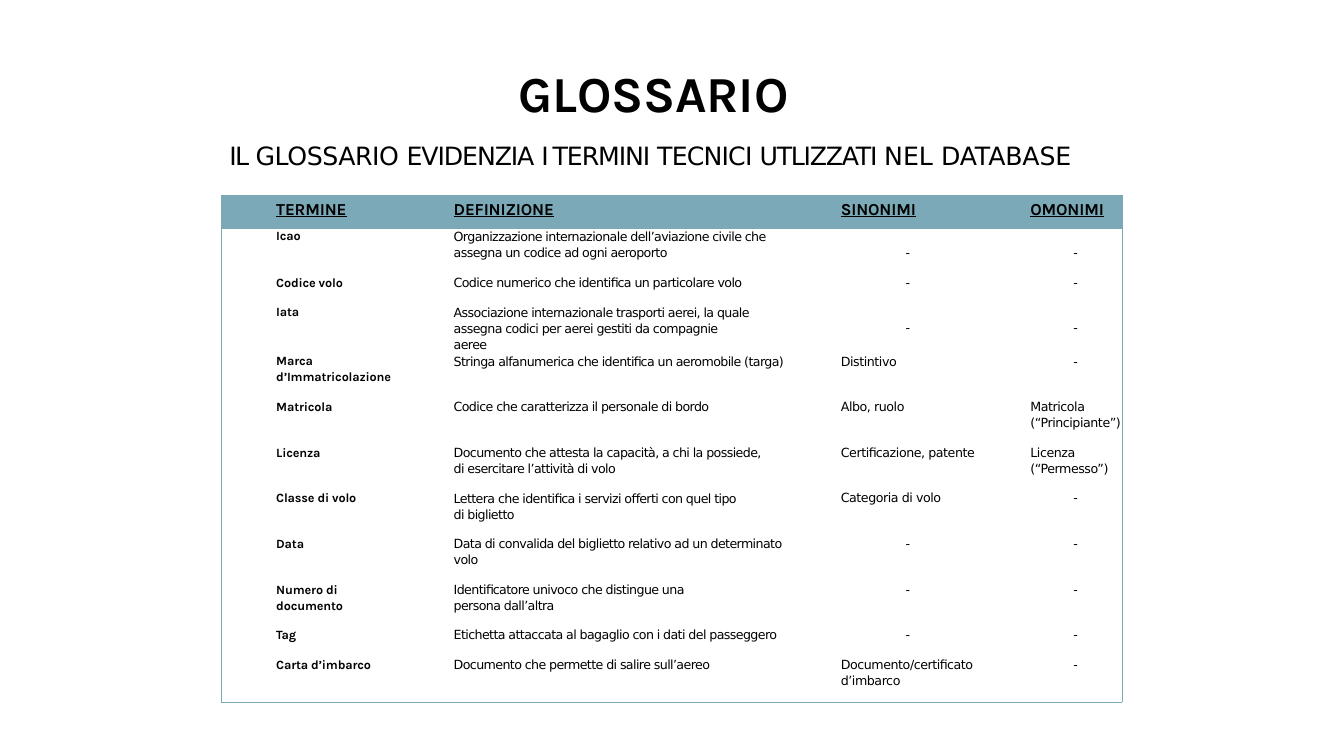
import pptx
import pptx.util
import pptx.dml.color
import pptx.enum.text
import pptx.oxml.ns
import lxml.etree

COLORS = {"black": "000000", "teal": "7BA9B8"}
HEADING_FONT, BODY_FONT = "Karla", "DejaVu Sans"
SLIDE_W, SLIDE_H = 13.33, 7.5

# Table grid: column widths in inches, row heights in points
COLUMNS = (2, 3.86, 1.88, 1.19)
INDENTS = (0.54, 0.3, 0.28, 0.28)
DASH_INDENTS = (0, 0, 0.01, 0.27)
HEADER, SINGLE, DOUBLE, UPPER = 24, 21, 32.6, 11.5

# Subtitle words with their letter spacing in points
SUBTITLE = (("IL ", -1.2), ("GLOSSARIO ", -0.3), ("EVIDENZIA ", -0.8), ("I ", -3),
            ("TERMINI ", -0.8), ("TECNICI ", -0.6), ("UTLIZZATI ", -0.9),
            ("NEL ", 0), ("DATABASE", -0.1))

# Row height and cells; \n starts a paragraph, \v breaks a line within one
GLOSSARY = (
    (HEADER, "TERMINE", "DEFINIZIONE", "SINONIMI", "OMONIMI"),
    (UPPER, "Icao", "Organizzazione internazionale dell’aviazione civile che\n"
     "assegna un codice ad ogni aeroporto", "", ""),
    (SINGLE, "", "", "-", "-"),
    (SINGLE, "Codice volo", "Codice numerico che identifica un particolare volo", "-", "-"),
    (UPPER, "Iata", "Associazione internazionale trasporti aerei, la quale \v"
     "assegna codici per aerei gestiti da compagnie \vaeree", "", ""),
    (23.5, "", "", "-", "-"),
    (DOUBLE, "Marca\nd’Immatricolazione",
     "Stringa alfanumerica che identifica un aeromobile (targa)", "Distintivo", "-"),
    (DOUBLE, "Matricola", "Codice che caratterizza il personale di bordo",
     "Albo, ruolo", "Matricola\n(“Principiante”)"),
    (DOUBLE, "Licenza", "Documento che attesta la capacità, a chi la possiede, \v"
     "di esercitare l’attività di volo", "Certificazione, patente", "Licenza\n(“Permesso”)"),
    (DOUBLE, "Classe di volo", "Lettera che identifica i servizi offerti con quel tipo \v"
     "di biglietto", "Categoria di volo", "-"),
    (DOUBLE, "Data", "Data di convalida del biglietto relativo ad un determinato\nvolo",
     "-", "-"),
    (DOUBLE, "Numero di \vdocumento", "Identificatore univoco che distingue una \v"
     "persona dall’altra", "-", "-"),
    (SINGLE, "Tag", "Etichetta attaccata al bagaglio con i dati del passeggero", "-", "-"),
    (DOUBLE, "Carta d’imbarco", "Documento che permette di salire sull’aereo",
     "Documento/certificato \vd’imbarco", "-"),
)
MERGED_ROWS = (1, 4)  # upper rows whose definition spans two rows
DEFINITION = 1


def write_text(paragraph, text, font=BODY_FONT, size=9, bold=False, underline=False,
               spacing=0.0, indent=0.0, centered=False):
    """Add text to a paragraph and format it."""
    align = pptx.enum.text.PP_ALIGN
    paragraph.alignment = align.CENTER if centered else align.LEFT
    properties = paragraph._p.get_or_add_pPr()
    properties.set("marL", str(pptx.util.Inches(indent)))
    properties.set("indent", "0")
    for number, line in enumerate(text.split("\v")):
        if number:
            paragraph.add_line_break()
            paragraph.line_spacing = pptx.util.Pt(11.6)
        run = paragraph.add_run()
        run.text = line
        run.font.name = font
        run.font.size = pptx.util.Pt(size)
        run.font.bold = bold
        run.font.underline = underline
        run.font.color.rgb = pptx.dml.color.RGBColor.from_string(COLORS["black"])
        run._r.get_or_add_rPr().set("spc", str(round(spacing * 100)))


def add_text_line(slide, left, top, width, height, words, **style):
    """Add a one-line box; the place is given in shares of the slide."""
    box = slide.shapes.add_textbox(
        pptx.util.Inches(left * SLIDE_W), pptx.util.Inches(top * SLIDE_H),
        pptx.util.Inches(width * SLIDE_W), pptx.util.Inches(height * SLIDE_H))
    frame = box.text_frame
    frame.word_wrap = True
    frame.margin_left = frame.margin_right = frame.margin_bottom = 0
    frame.margin_top = pptx.util.Inches(0.01)
    for word, spacing in words:
        write_text(frame.paragraphs[0], word, spacing=spacing, **style)


def set_borders(cell, sides):
    """Draw thin lines on the named sides (L, R, T, B) and clear the others."""
    properties = cell._tc.get_or_add_tcPr()
    qn = pptx.oxml.ns.qn
    for side in "LRTB":
        line = lxml.etree.SubElement(properties, qn("a:ln" + side), w="6350")
        if side in sides:
            fill = lxml.etree.SubElement(line, qn("a:solidFill"))
            lxml.etree.SubElement(fill, qn("a:srgbClr"), val=COLORS["teal"])
        else:
            lxml.etree.SubElement(line, qn("a:noFill"))


def fill_cell(cell, text, row, column):
    is_header = row == 0
    is_heading = is_header or column == 0
    is_dash = text == "-"

    # Outer frame and a rule under each entry
    open_below = row == 1 and column != DEFINITION
    sides = ("L" if column == 0 else "") + ("R" if column == len(COLUMNS) - 1 else "")
    set_borders(cell, sides + ("T" if is_header else "") + ("" if open_below else "B"))
    if is_header:
        cell.fill.solid()
        cell.fill.fore_color.rgb = pptx.dml.color.RGBColor.from_string(COLORS["teal"])
    else:
        cell.fill.background()

    cell.margin_left = cell.margin_right = cell.margin_bottom = 0
    snug = "\v" in text or row in (1, 2, 5)
    cell.margin_top = pptx.util.Inches(0.04 if is_header else 0 if snug else 0.01)

    frame = cell.text_frame
    if not text:  # keep blank cells from stretching their row
        lxml.etree.SubElement(frame.paragraphs[0]._p,
                              pptx.oxml.ns.qn("a:endParaRPr"), sz="900")
        return
    for number, line in enumerate(text.split("\n")):
        paragraph = frame.add_paragraph() if number else frame.paragraphs[0]
        if number:
            paragraph.space_before = pptx.util.Pt(0.8)
        write_text(paragraph, line, font=HEADING_FONT if is_heading else BODY_FONT,
                   size=12 if is_header else 9, bold=is_heading, underline=is_header,
                   spacing=-0.1 if is_heading else -0.42 if column == DEFINITION else -0.3,
                   indent=(DASH_INDENTS if is_dash else INDENTS)[column], centered=is_dash)


def add_glossary(slide, left, top):
    heights = [pptx.util.Pt(entry[0]) for entry in GLOSSARY]
    widths = [pptx.util.Inches(width) for width in COLUMNS]
    glossary = slide.shapes.add_table(
        len(heights), len(widths), pptx.util.Inches(left * SLIDE_W),
        pptx.util.Inches(top * SLIDE_H), sum(widths), sum(heights)).table
    for column, width in enumerate(widths):
        glossary.columns[column].width = width
    for row, (height, *texts) in enumerate(GLOSSARY):
        glossary.rows[row].height = heights[row]
        for column, text in enumerate(texts):
            fill_cell(glossary.cell(row, column), text, row, column)
    for row in MERGED_ROWS:
        glossary.cell(row, DEFINITION).merge(glossary.cell(row + 1, DEFINITION))


def main():
    deck = pptx.Presentation()
    deck.slide_width = pptx.util.Inches(SLIDE_W)
    deck.slide_height = pptx.util.Inches(SLIDE_H)
    slide = deck.slides.add_slide(deck.slide_layouts[6])

    # Title and subtitle
    add_text_line(slide, 0.385, 0.081, 0.232, 0.084, [("GLOSSARIO", -0.1)],
                  font=HEADING_FONT, size=36, bold=True, indent=0.01)
    add_text_line(slide, 0.17, 0.184, 0.661, 0.044, SUBTITLE, size=18, indent=0.01)

    # Terms table
    add_glossary(slide, 0.165, 0.259)
    deck.save("out.pptx")


if __name__ == "__main__":
    main()
